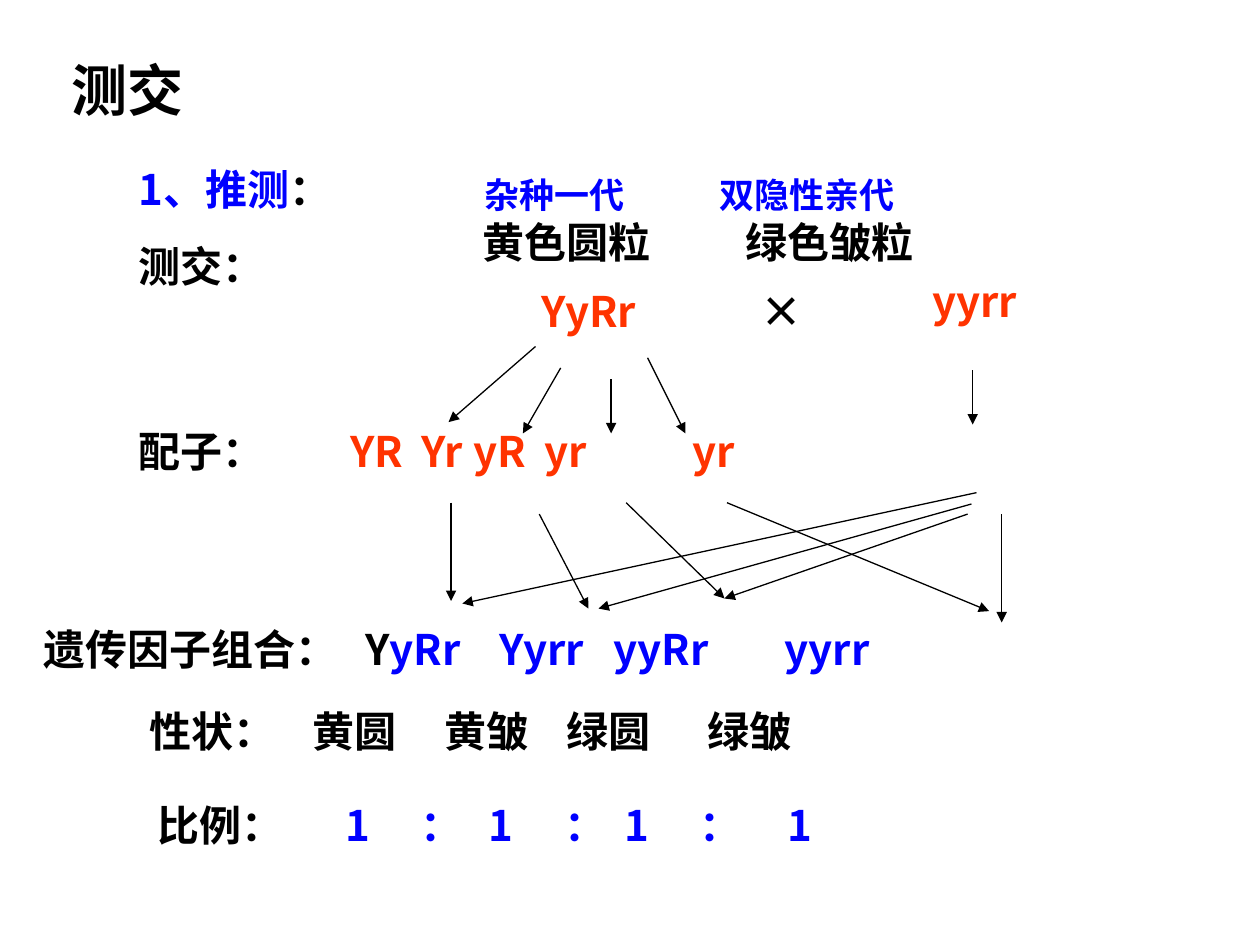
import pptx
import pptx.util
import pptx.dml.color
import pptx.enum.shapes
import pptx.oxml
import pptx.oxml.ns
import lxml.etree

THEME = {
    "font": "Noto Sans CJK SC",
    "black": "000000", "blue": "0000FF", "red": "FF3300",
    "title": 32, "body": 24, "caption": 20,
    "paragraph_gap": 15, "line": 0.75, "inset": 0.1,
}

# Content: (left, top, width, height), size, paragraphs of (text, colour) spans
LABELS = [
    ((0.47, 0.39, 3.33, 0.64), "title", [[("测交", "black")]]),
    ((1, 1.25, 2.33, 1.11), "body",
     [[("1、推测", "blue"), ("：", "black")], [("测交：", "black")]]),
    ((4.2, 2.22, 1.39, 0.5), "body", [[("YyRr", "red")]]),
    ((5.94, 2.22, 0.8, 0.5), "body", [[("×", "black")]]),
    ((7.3, 2.14, 1.09, 0.5), "body", [[("yyrr", "red")]]),
]

# Tabbed rows: box, size, spans, slide positions of the tabbed columns
ROWS = [
    ((3.5, 1.33, 6.13, 0.44), "caption",
     [("\t杂种一代\t双隐性亲代", "blue")], [3.85, 5.71]),
    ((3.58, 1.67, 5.68, 0.5), "body",
     [("\t黄色圆粒\t绿色皱粒", "black")], [3.83, 5.92]),
    ((1, 3.33, 8.18, 0.5), "body",
     [("配子：", "black"), ("\tYR\tYr\tyR\tyr\tyr", "red")],
     [2.78, 3.35, 3.76, 4.32, 5.5]),
    ((0.25, 4.9, 9.16, 0.9), "body",
     [("遗传因子组合：\tY", "black"), ("yRr\tYyrr\tyyRr\tyyrr", "blue")],
     [2.9, 3.97, 4.87, 6.23]),
    ((0.94, 5.55, 8.74, 0.5), "body",
     [("\t性状：\t黄圆\t黄皱\t绿圆\t绿皱", "black")],
     [1.19, 2.48, 3.53, 4.5, 5.62]),
    ((1.15, 6.3, 7.87, 0.9), "body",
     [("比例：", "black"), ("\t1\t：\t1\t：\t1\t：\t1", "blue")],
     [2.74, 3.34, 3.88, 4.48, 4.96, 5.55, 6.25]),
]

# Arrows: start x, start y, end x, end y
PARENT_ARROWS = [
    (4.25, 2.75, 3.56, 3.35), (4.45, 2.92, 4.15, 3.44),
    (4.85, 3.01, 4.85, 3.44), (5.14, 2.84, 5.44, 3.44),
    (7.72, 2.94, 7.72, 3.37),
]
GAMETE_ARROWS = [
    (3.58, 3.99, 3.58, 4.77), (7.75, 3.91, 3.67, 4.79),
    (4.28, 4.08, 4.67, 4.83), (7.71, 4, 4.75, 4.83),
    (4.97, 3.99, 5.75, 4.75), (7.68, 4.08, 5.75, 4.75),
    (7.95, 4.08, 7.95, 4.94), (5.77, 3.99, 7.85, 4.85),
]


def colour(name):
    return pptx.dml.color.RGBColor.from_string(THEME[name])


def add_child(parent, tag, **attributes):
    return lxml.etree.SubElement(parent, pptx.oxml.ns.qn(tag), attributes)


def add_tabs(para, left, columns):
    tabs = add_child(para._p.get_or_add_pPr(), "a:tabLst")
    for column in columns:
        offset = pptx.util.Inches(column - left - THEME["inset"])
        add_child(tabs, "a:tab", pos=str(offset), algn="l")


def add_text(page, place, size, paragraphs, columns=()):
    box = page.shapes.add_textbox(*map(pptx.util.Inches, place))
    frame = box.text_frame
    frame.word_wrap = True
    for index, spans in enumerate(paragraphs):
        para = frame.add_paragraph() if index else frame.paragraphs[0]
        if index:
            para.space_before = pptx.util.Pt(THEME["paragraph_gap"])
        if columns:
            add_tabs(para, place[0], columns)
        for text, ink in spans:
            span = para.add_run()
            span.text = text
            span.font.size = pptx.util.Pt(THEME[size])
            span.font.bold = True
            span.font.color.rgb = colour(ink)
            span.font.name = THEME["font"]
            add_child(span.font._element, "a:ea", typeface=THEME["font"])


def add_arrow(page, ends):
    arrow = page.shapes.add_connector(
        pptx.enum.shapes.MSO_CONNECTOR.STRAIGHT, *map(pptx.util.Inches, ends))
    arrow.line.color.rgb = colour("black")
    arrow.line.width = pptx.util.Pt(THEME["line"])
    add_child(arrow.line._get_or_add_ln(), "a:tailEnd", type="triangle")
    add_child(arrow._element.spPr, "a:effectLst")


def main():
    deck = pptx.Presentation()
    deck.slide_width = pptx.util.Inches(10)
    deck.slide_height = pptx.util.Inches(7.5)
    page = deck.slides.add_slide(deck.slide_layouts[6])

    # Heading, step labels and the cross
    for place, size, paragraphs in LABELS:
        add_text(page, place, size, paragraphs)

    # Rows aligned with tab stops
    for place, size, spans, columns in ROWS:
        add_text(page, place, size, [spans], columns)

    # Parents to gametes, then gametes to offspring
    for ends in PARENT_ARROWS + GAMETE_ARROWS:
        add_arrow(page, ends)

    deck.save("out.pptx")


if __name__ == "__main__":
    main()
